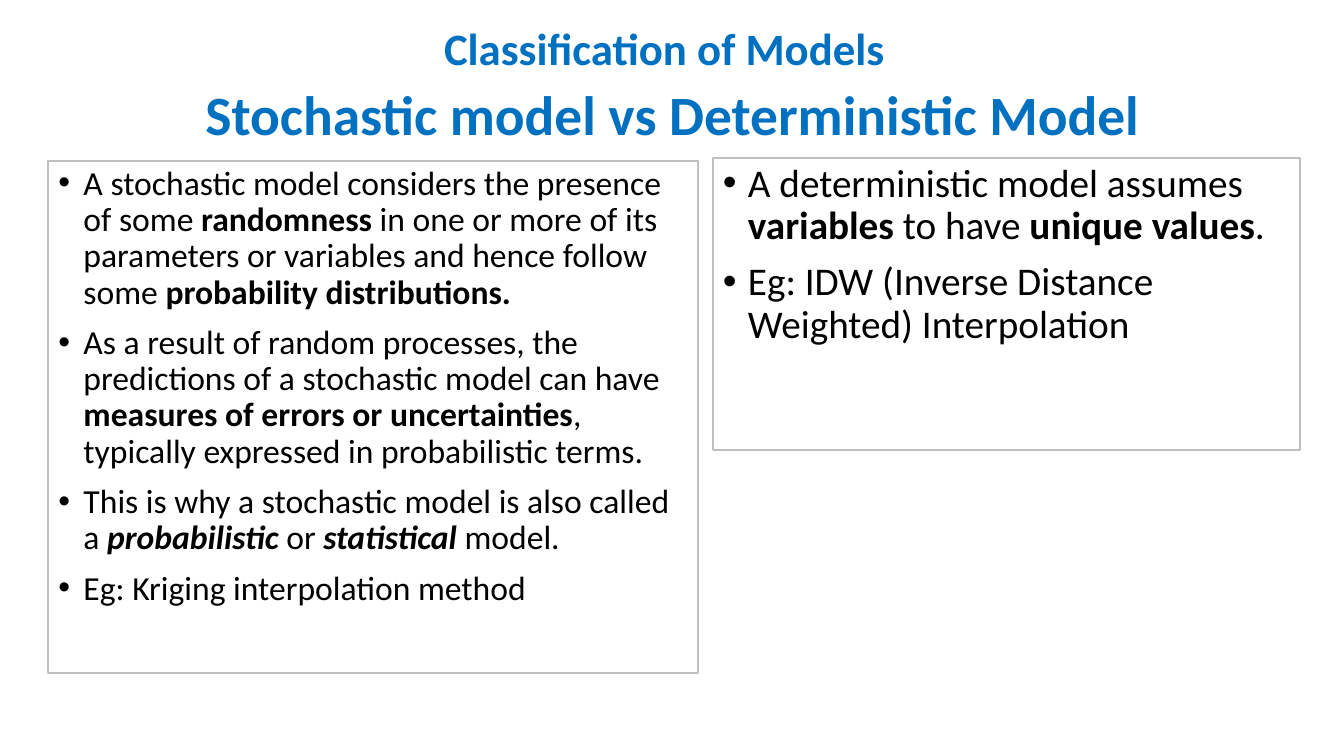
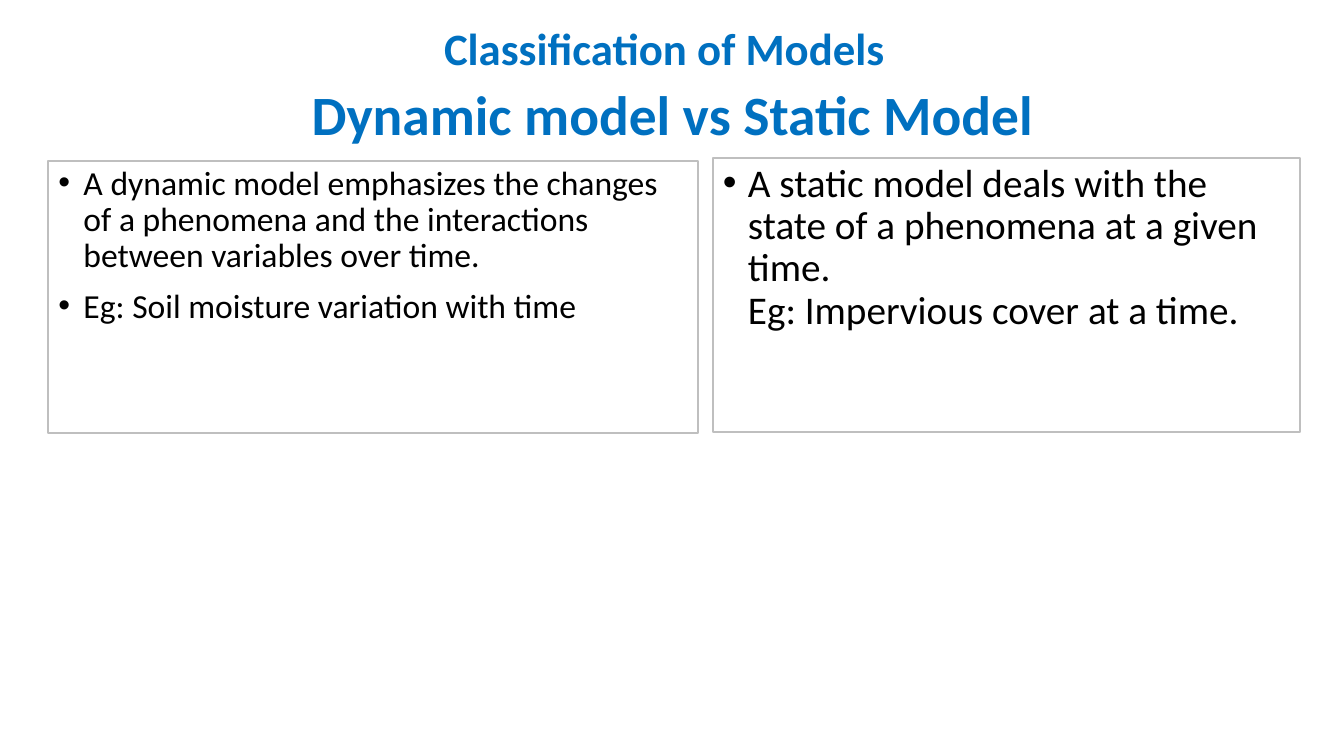
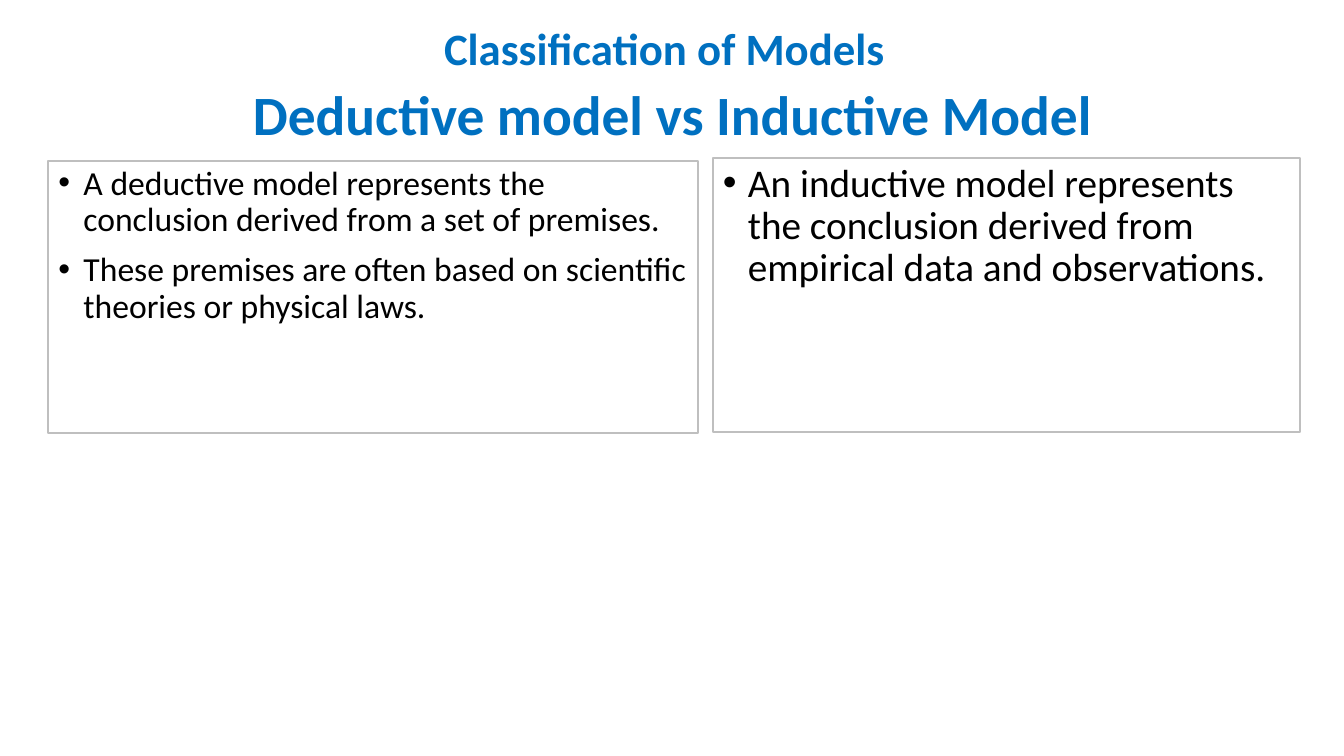
from dataclasses import dataclass

from lxml.etree import SubElement as Sub
from pptx import Presentation
from pptx.dml.color import RGBColor as RGB
from pptx.enum.shapes import MSO_SHAPE as Shape
from pptx.enum.text import MSO_ANCHOR as Anchor, PP_ALIGN as Align
from pptx.oxml.ns import qn
from pptx.util import Inches, Pt


@dataclass(frozen=True)
class Theme:
    font: str = "Calibri"
    blue: RGB = RGB(0x00, 0x70, 0xC0)
    black: RGB = RGB(0x00, 0x00, 0x00)
    grey: RGB = RGB(0xBF, 0xBF, 0xBF)
    head: float = 32
    topic: float = 39.6
    left: float = 24
    right: float = 28
    edge: float = 1.5
    gap: float = 10
    indent: float = 0.25


THEME = Theme()
HEAD = "Classification of Models"

# Each slide: topic, box heights (left, right), left points, right points.
# A point is plain text, or a list of (text, style) with style "", "b" or "bi".
PAGES = [
    ("Stochastic model vs Deterministic Model", (5.08, 2.89),
     [[("A stochastic model considers the presence of some ", ""),
       ("randomness", "b"),
       (" in one or more of its parameters or variables and hence "
        "follow some ", ""),
       ("probability distributions.", "b")],
      [("As a result of random processes, the predictions of a "
        "stochastic model can have ", ""),
       ("measures of errors or uncertainties", "b"),
       (", typically expressed in probabilistic terms.", "")],
      [("This is why a stochastic model is also called a ", ""),
       ("probabilistic ", "bi"), ("or ", ""),
       ("statistical ", "bi"), ("model.", "")],
      "Eg: Kriging interpolation method"],
     [[("A deterministic model assumes\n", ""), ("variables", "b"),
       (" to have ", ""), ("unique values", "b"), (".", "")],
      "Eg: IDW (Inverse Distance Weighted) Interpolation"]),
    ("Dynamic model vs Static Model", (2.7, 2.72),
     ["A dynamic model emphasizes the changes of a phenomena and the "
      "interactions between variables over time.",
      "Eg: Soil moisture variation with time"],
     ["A static model deals with the state of a phenomena at a given "
      "time.\nEg: Impervious cover at a time."]),
    ("Deductive model vs Inductive Model", (2.7, 2.72),
     ["A deductive model represents the conclusion derived from a set "
      "of premises.",
      "These premises are often based on scientific theories or "
      "physical laws."],
     ["An inductive model represents the conclusion derived from "
      "empirical data and observations."]),
]


def add_text(para, text, *, size, color, style="", align=Align.LEFT,
             space=0.9, before=0):
    """Append styled text to a paragraph; a newline is a line break."""
    para.alignment = align
    para.line_spacing = space
    para.space_before = Pt(before)
    for num, line in enumerate(text.split("\n")):
        if num:
            para.add_line_break()
        if line:
            run = para.add_run()
            run.text = line
            font = run.font
            font.name, font.size = THEME.font, Pt(size)
            font.bold, font.italic = "b" in style, "i" in style
            font.color.rgb = color


def add_bullet(para):
    props = para._p.get_or_add_pPr()
    props.set("marL", str(Inches(THEME.indent)))
    props.set("indent", str(-Inches(THEME.indent)))
    tint = Sub(props, qn("a:buClr"))
    Sub(tint, qn("a:srgbClr"), val=str(THEME.black))
    Sub(props, qn("a:buFont"), typeface="Arial")
    Sub(props, qn("a:buChar"), char="•")


def add_title(slide, text, left, top, **form):
    box = slide.shapes.add_textbox(Inches(left), Inches(top),
                                   Inches(11.5), Inches(0.6))
    frame = box.text_frame
    frame.word_wrap = True
    frame.vertical_anchor = Anchor.MIDDLE
    add_text(frame.paragraphs[0], text, color=THEME.blue, style="b",
             align=Align.CENTER, **form)


def add_panel(slide, points, left, top, width, height, size):
    """Draw an outlined box that holds a bullet list."""
    box = slide.shapes.add_shape(Shape.RECTANGLE, Inches(left), Inches(top),
                                 Inches(width), Inches(height))
    box.shadow.inherit = False
    box.fill.background()
    box.line.color.rgb = THEME.grey
    box.line.width = Pt(THEME.edge)
    frame = box.text_frame
    frame.word_wrap = True
    frame.vertical_anchor = Anchor.TOP
    for num, point in enumerate(points):
        para = frame.add_paragraph() if num else frame.paragraphs[0]
        parts = [(point, "")] if isinstance(point, str) else point
        for text, style in parts:
            add_text(para, text, size=size, color=THEME.black, style=style,
                     before=THEME.gap if num else 0)
        add_bullet(para)


def add_page(deck, topic, heights, left, right):
    slide = deck.slides.add_slide(deck.slide_layouts[6])
    add_title(slide, HEAD, 0.84, 0.21, size=THEME.head)
    add_panel(slide, left, 0.48, 1.6, 6.44, heights[0], THEME.left)
    add_title(slide, topic, 0.92, 0.91, size=THEME.topic, space=0.7)
    add_panel(slide, right, 7.07, 1.57, 5.82, heights[1], THEME.right)


def main():
    deck = Presentation()
    deck.slide_width, deck.slide_height = Inches(13.33), Inches(7.5)
    for page in PAGES:
        add_page(deck, *page)
    deck.save("out.pptx")


if __name__ == "__main__":
    main()
